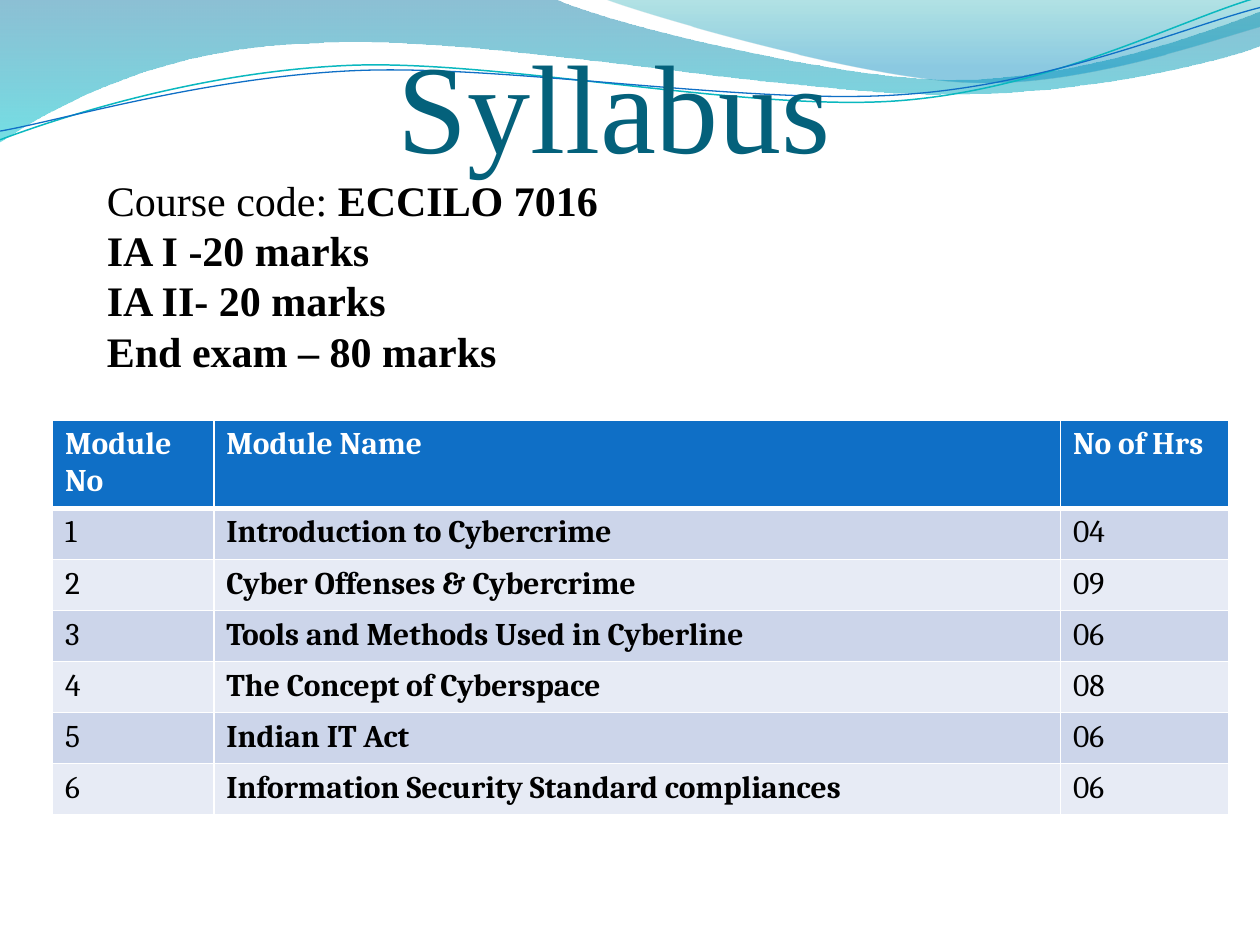
"""Build the Syllabus slide with its wave header, marks summary and module table."""
from lxml import etree
from pptx import Presentation
from pptx import util as u
from pptx.dml.color import RGBColor
from pptx.enum import text
from pptx.oxml import ns

Pt = u.Pt


def color(value):
    return RGBColor.from_string(value)


def add_outline(start, segments, closed):
    builder = slide.shapes.build_freeform(Pt(start[0]), Pt(start[1]))
    builder.add_line_segments([(Pt(s[-2]), Pt(s[-1])) for s in segments], close=closed)
    shape = builder.convert_to_shape()
    shape.shadow.inherit = False
    for line, segment in zip(list(shape._element.iter(ns.qn("a:lnTo"))), segments):
        if len(segment) == 6:
            curve = etree.Element(ns.qn("a:cubicBezTo"))
            for x, y in zip(segment[::2], segment[1::2]):
                etree.SubElement(curve, ns.qn("a:pt"), x=str(Pt(x) - shape.left), y=str(Pt(y) - shape.top))
            line.getparent().replace(line, curve)
    return shape


presentation = Presentation()
presentation.slide_width = Pt(720)
presentation.slide_height = Pt(540)
slide = presentation.slides.add_slide(presentation.slide_layouts[6])

bands = [
    ((0, 0), [(316.8, -0.7), (342.7, 12.2, 478.1, 45.4, 545.8, 45.4),
              (614.2, 45.4, 689.8, 18.7, 720, 6.5), (720.7, 25.9),
              (707.8, 31.7, 626.4, 54.7, 537.1, 54), (447.8, 54, 275, 20.2, 185, 24.5),
              (92.9, 25.9, 33.1, 59.8, -0.7, 81.4)],
     [(0, "0074A1", 45), (1, "00C6CF", 55)]),
    ((344.9, -0.7), [(366.5, 7.9, 491, 44.6, 553.7, 46.8),
                     (616.3, 49.7, 691.9, 23, 720, 15.1), (720, 0)],
     [(0, "00A1A9", 30), (0.8, "008BBF", 45)]),
]
for start, segments, stops in bands:
    band = add_outline(start, segments, True)
    band.line.fill.background()
    band.fill.gradient()
    band.fill.gradient_angle = 270
    for stop, (position, hue, opacity) in zip(band.fill.gradient_stops, stops):
        stop.position = position
        stop.color.rgb = color(hue)
    for element, (position, hue, opacity) in zip(band._element.iter(ns.qn("a:srgbClr")), stops):
        etree.SubElement(element, ns.qn("a:alpha"), val=str(opacity * 1000))

waves = [
    ((0, 79.9), [(34.6, 67, 113.8, 41, 199.4, 37.4), (284.4, 33.8, 427, 64.1, 513.4, 57.6),
                 (599.8, 51.1, 675.4, 10.8, 718.6, -1.4)], "0AB8BF", 0.85),
    ((0, 74.9), [(33.8, 69.1, 118.1, 43.9, 203.8, 40.3), (290.2, 36.7, 429.8, 60.5, 516.2, 54),
                 (601.9, 48.2, 677.5, 15.1, 720, 4.3)], "0F6FC6", 0.75),
]
for start, segments, hue, width in waves:
    wave = add_outline(start, segments, False)
    wave.fill.background()
    wave.line.color.rgb = color(hue)
    wave.line.width = Pt(width)

title = slide.shapes.add_textbox(Pt(36), Pt(12), Pt(648), Pt(90))
frame = title.text_frame
frame.word_wrap = True
frame.vertical_anchor = text.MSO_ANCHOR.BOTTOM
frame.margin_left = frame.margin_right = frame.margin_bottom = 0
frame.text = "Syllabus "
paragraph = frame.paragraphs[0]
paragraph.alignment = text.PP_ALIGN.CENTER
font = paragraph.runs[0].font
font.name, font.size, font.color.rgb = "Times New Roman", Pt(72), color("04617B")

modules = [
    ("Module No", "Module Name", "No of Hrs"),
    ("1", "Introduction to Cybercrime", "04"),
    ("2", "Cyber Offenses & Cybercrime", "09"),
    ("3", "Tools and Methods Used in Cyberline", "06"),
    ("4", "The Concept of Cyberspace", "08"),
    ("5", "Indian IT Act", "06"),
    ("6", "Information Security Standard compliances", "06"),
]
table = slide.shapes.add_table(len(modules), 3, Pt(30), Pt(240), Pt(672), Pt(221.7)).table
for column, width in zip(table.columns, (92.2, 483.8, 96)):
    column.width = Pt(width)
for r, values in enumerate(modules):
    table.rows[r].height = Pt(29.2 if r else 46.5)
    for c, value in enumerate(values):
        cell = table.cell(r, c)
        cell.text = value
        font = cell.text_frame.paragraphs[0].runs[0].font
        font.name, font.size = "Cambria", Pt(18)
        font.bold = r == 0 or c == 1
        font.color.rgb = color("000000" if r else "FFFFFF")
        cell.fill.solid()
        cell.fill.fore_color.rgb = color(("E7EBF5", "CCD5EA")[r % 2] if r else "0F6FC6")
        properties = cell._tc.get_or_add_tcPr()
        for index, side in enumerate("LRTB"):
            thick = (r, side) in ((0, "B"), (1, "T"))
            border = etree.Element(ns.qn("a:ln" + side), w=str(Pt(3 if thick else 1)))
            solid = etree.SubElement(border, ns.qn("a:solidFill"))
            etree.SubElement(solid, ns.qn("a:srgbClr"), val="FFFFFF")
            properties.insert(index, border)

marks = slide.shapes.add_textbox(Pt(54), Pt(96), Pt(354), Pt(211))
frame = marks.text_frame
frame.word_wrap = True
frame.text = "Course code: \nIA I -20 marks\nIA II- 20 marks\nEnd exam – 80 marks"
frame.paragraphs[0].add_run().text = "ECCILO 7016"
for paragraph in frame.paragraphs:
    for run in paragraph.runs:
        run.font.name, run.font.size = "Times New Roman", Pt(24)
        run.font.color.rgb = color("000000")
        run.font.bold = run.text != "Course code: "

presentation.save("out.pptx")
